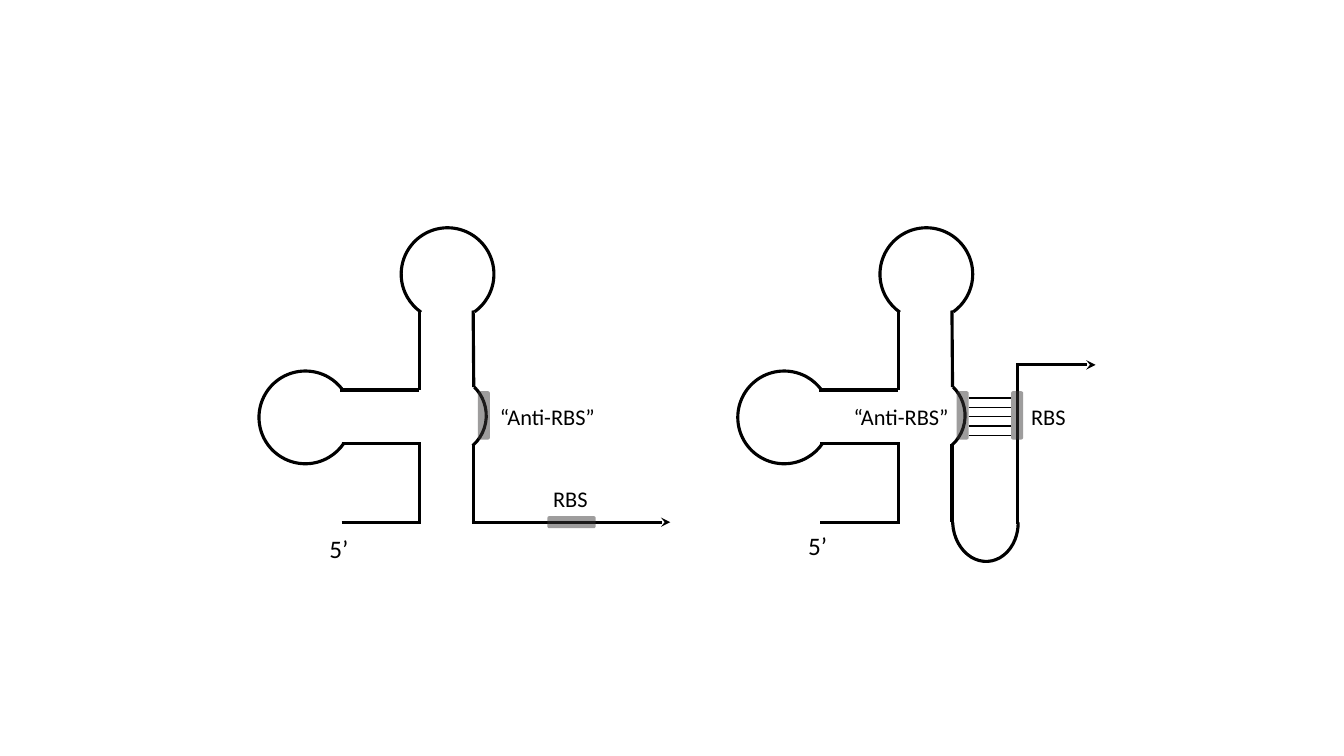
from lxml import etree
from pptx import Presentation
from pptx.dml.color import RGBColor
from pptx.enum.dml import MSO_THEME_COLOR
from pptx.enum.shapes import MSO_CONNECTOR, MSO_SHAPE
from pptx.enum.text import MSO_AUTO_SIZE
from pptx.oxml.ns import qn
from pptx.util import Pt

ARC = MSO_SHAPE.ARC
ROUNDED = MSO_SHAPE.ROUNDED_RECTANGLE
STRAIGHT = MSO_CONNECTOR.STRAIGHT
FIT_TEXT = MSO_AUTO_SIZE.SHAPE_TO_FIT_TEXT

COLORS = {"strand": "000000", "site": "3B3838", "label": "000000"}
FONT = "Calibri"
STRAND_WIDTH = 2.25
PAIR_WIDTH = 1
LOOP_SIZE = 66.24
LOOP_ANGLES = (110.668, 68.328)
BULGE_ANGLES = (110.668, 166.885)
TURN_ANGLES = (164.691, 55.707)
BOUND_OFFSET = 342


def color(name):
    return RGBColor.from_string(COLORS[name])


def add_line(slide, x1, y1, x2, y2, width=STRAND_WIDTH, arrow=False):
    line = slide.shapes.add_connector(STRAIGHT, Pt(x1), Pt(y1), Pt(x2), Pt(y2))
    line.line.color.rgb = color("strand")
    line.line.width = Pt(width)
    properties = line._element.spPr
    if arrow:
        outline = properties.find(qn("a:ln"))
        etree.SubElement(outline, qn("a:tailEnd"), type="stealth")
    etree.SubElement(properties, qn("a:effectLst"))


def add_arc(slide, x, y, width, height, rotation, angles):
    arc = slide.shapes.add_shape(ARC, Pt(x), Pt(y), Pt(width), Pt(height))
    arc.shadow.inherit = False
    arc.fill.background()
    arc.line.color.rgb = color("strand")
    arc.line.width = Pt(STRAND_WIDTH)
    arc.rotation = rotation
    for index, angle in enumerate(angles):
        arc.adjustments[index] = angle


def add_site(slide, x, y, rotation=0):
    site = slide.shapes.add_shape(ROUNDED, Pt(x), Pt(y), Pt(8.64), Pt(34.56))
    site.shadow.inherit = False
    site.rotation = rotation
    site.line.fill.background()
    site.fill.solid()
    site.fill.fore_color.rgb = color("site")
    tint = site._element.spPr.find(qn("a:solidFill"))[0]
    etree.SubElement(tint, qn("a:alpha"), val="49000")


def add_label(slide, text, x, y, width, height=26.64, size=16):
    label = slide.shapes.add_textbox(Pt(x), Pt(y), Pt(width), Pt(height))
    frame = label.text_frame
    frame.word_wrap = True
    frame.auto_size = FIT_TEXT
    run = frame.paragraphs[0].add_run()
    run.text = text
    run.font.name = FONT
    run.font.size = Pt(size)
    run.font.color.rgb = color("label")


def add_hairpins(slide, dx):
    add_arc(slide, 185 + dx, 265, LOOP_SIZE, LOOP_SIZE, 209.7, LOOP_ANGLES)
    add_arc(slide, 286.6 + dx, 162.7, LOOP_SIZE, LOOP_SIZE, 300.4, LOOP_ANGLES)
    add_arc(slide, 290.2 + dx, 267.8, 56.9, 57.6, 130.6, BULGE_ANGLES)
    strands = [
        (243, 278.6, 299.5, 278.6),
        (244, 316.8, 300.7, 316.8),
        (244, 373, 300.7, 373),
        (299.7, 373, 299.7, 316.8),
        (299.7, 278.6, 299.7, 221.8),
        (338.4, 276.5, 338, 221.8),
        (338, 373, 338, 316.8),
    ]
    for x1, y1, x2, y2 in strands:
        add_line(slide, x1 + dx, y1, x2 + dx, y2)
    add_site(slide, 341.3 + dx, 279.4)


def add_free_state(slide):
    add_hairpins(slide, 0)
    add_line(slide, 337, 373, 478.8, 373, arrow=True)
    add_site(slide, 403.9, 355.7, 90)
    add_label(slide, "“Anti-RBS”", 350, 284.4, 97.2)
    add_label(slide, "RBS", 388, 342.9, 45.4)
    add_label(slide, "5’", 228.2, 377.3, 34.6, 28.8, 18)


def add_bound_state(slide):
    add_hairpins(slide, BOUND_OFFSET)
    add_arc(slide, 675.4, 349.2, 56.9, 46.8, 86.7, TURN_ANGLES)
    add_line(slide, 726.8, 374.4, 726.8, 260.6)
    add_line(slide, 725.8, 260.6, 782.6, 260.6, arrow=True)
    add_site(slide, 722.2, 279.4)
    for pair in range(5):
        y = 284.4 + pair * 6.65
        add_line(slide, 691.9, y, 722.2, y, PAIR_WIDTH)
    add_label(slide, "“Anti-RBS”", 602.6, 284.4, 97.2)
    add_label(slide, "RBS", 729.4, 284.4, 45.4)
    add_label(slide, "5’", 570.2, 375.1, 34.6, 28.8, 18)


def main():
    deck = Presentation()
    deck.slide_width = Pt(960)
    deck.slide_height = Pt(540)
    slide = deck.slides.add_slide(deck.slide_layouts[6])
    add_free_state(slide)
    add_bound_state(slide)
    deck.save("out.pptx")


if __name__ == "__main__":
    main()
